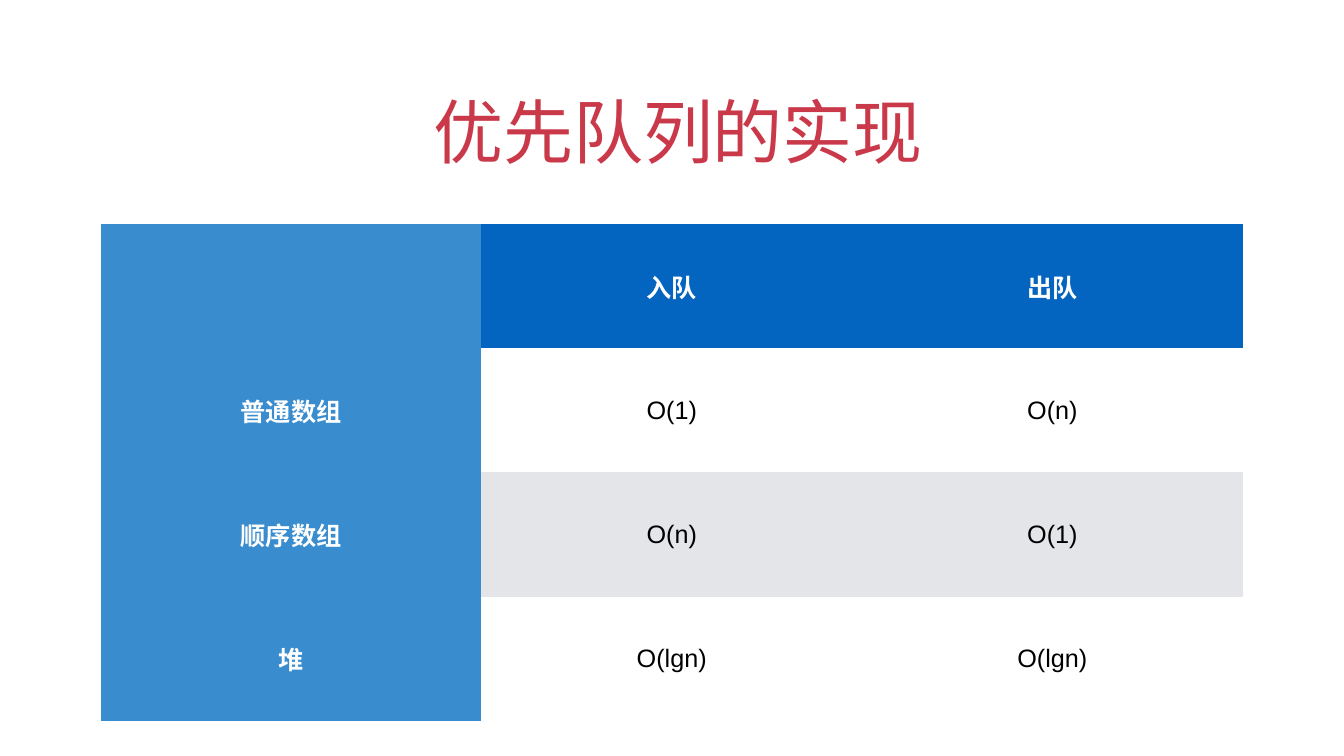
import pptx
import pptx.dml.color
import pptx.enum.text
import pptx.oxml.ns
import pptx.util

WIDTH, HEIGHT = 26.67, 15
NO_STYLE_NO_GRID = "{2D5ABB26-0587-4C30-8999-92F81FD0307C}"
COSTS = [
    ["", "入队", "出队"],
    ["普通数组", "O(1)", "O(n)"],
    ["顺序数组", "O(n)", "O(1)"],
    ["堆", "O(lgn)", "O(lgn)"],
]


def colour(code):
    """Turn a hex string into a colour."""
    return pptx.dml.color.RGBColor.from_string(code)


class QueueSlide:
    """Hold the style and the current slide."""

    font = "Arial"
    title_colour = "C9394A"
    header_fill, label_fill = "0365C0", "398CCE"
    row_fills = ["E3E5E8", "FFFFFF"]
    inset = pptx.util.Inches(0.06)

    def __init__(self, deck):
        """Add a title-only slide to the deck."""
        self.deck = deck
        self.slide = deck.slides.add_slide(deck.slide_layouts[5])

    def area(self, left, top, width, height):
        """Turn shares of the slide into lengths."""
        across, down = self.deck.slide_width, self.deck.slide_height
        return (int(left * across), int(top * down),
                int(width * across), int(height * down))

    def centred_run(self, paragraph, wording, size, code, bold=False):
        """Add one centred run in the slide's font."""
        paragraph.alignment = pptx.enum.text.PP_ALIGN.CENTER
        run = paragraph.add_run()
        run.text = wording
        run.font.name = self.font
        run.font.size = pptx.util.Pt(size)
        run.font.bold = bold
        run.font.color.rgb = colour(code)

    def title(self, wording, *shares):
        """Place and fill the title placeholder."""
        heading = self.slide.shapes.title
        heading.left, heading.top, heading.width, heading.height = self.area(*shares)
        frame = heading.text_frame
        frame.word_wrap = True
        frame.auto_size = pptx.enum.text.MSO_AUTO_SIZE.NONE
        frame.vertical_anchor = pptx.enum.text.MSO_ANCHOR.BOTTOM
        frame.margin_left = frame.margin_right = self.inset
        frame.margin_top = frame.margin_bottom = self.inset
        paragraph = frame.paragraphs[0]
        paragraph._p.get_or_add_pPr().set("indent", str(pptx.util.Inches(0.25)))
        self.centred_run(paragraph, wording, 100, self.title_colour)

    def cell_fill(self, row, column):
        """Choose a fill by the cell's place in the table."""
        if column == 0:
            return self.label_fill
        return self.header_fill if row == 0 else self.row_fills[row % 2 ]

    def table(self, rows, *shares):
        """Add a table with a header row and a label column."""
        frame = self.slide.shapes.add_table(len(rows), len(rows[0]), *self.area(*shares))
        grid = frame.table
        grid.first_col = True
        grid.horz_banding = False
        grid._tbl.tblPr.find(pptx.oxml.ns.qn("a:tableStyleId")).text = NO_STYLE_NO_GRID
        for row, wordings in enumerate(rows):
            for column, wording in enumerate(wordings):
                cell = grid.cell(row, column)
                cell.fill.solid()
                cell.fill.fore_color.rgb = colour(self.cell_fill(row, column))
                cell.vertical_anchor = pptx.enum.text.MSO_ANCHOR.MIDDLE
                cell.margin_left = cell.margin_right = self.inset
                cell.margin_top = cell.margin_bottom = self.inset
                if wording:
                    label = row == 0 or column == 0
                    self.centred_run(cell.text_frame.paragraphs[0], wording, 36,
                                     "FFFFFF" if label else "000000", label)


def main():
    """Build and save the slide."""
    deck = pptx.Presentation()
    deck.slide_width = pptx.util.Inches(WIDTH)
    deck.slide_height = pptx.util.Inches(HEIGHT)
    page = QueueSlide(deck)
    page.title("优先队列的实现", 1.94 / WIDTH, 1.27 / HEIGHT, 22.78 / WIDTH, 2.22 / HEIGHT)
    page.table(COSTS, 2 / WIDTH, 4.45 / HEIGHT, 22.66 / WIDTH, 9.85 / HEIGHT)
    deck.save("out.pptx")


if __name__ == "__main__":
    main()
